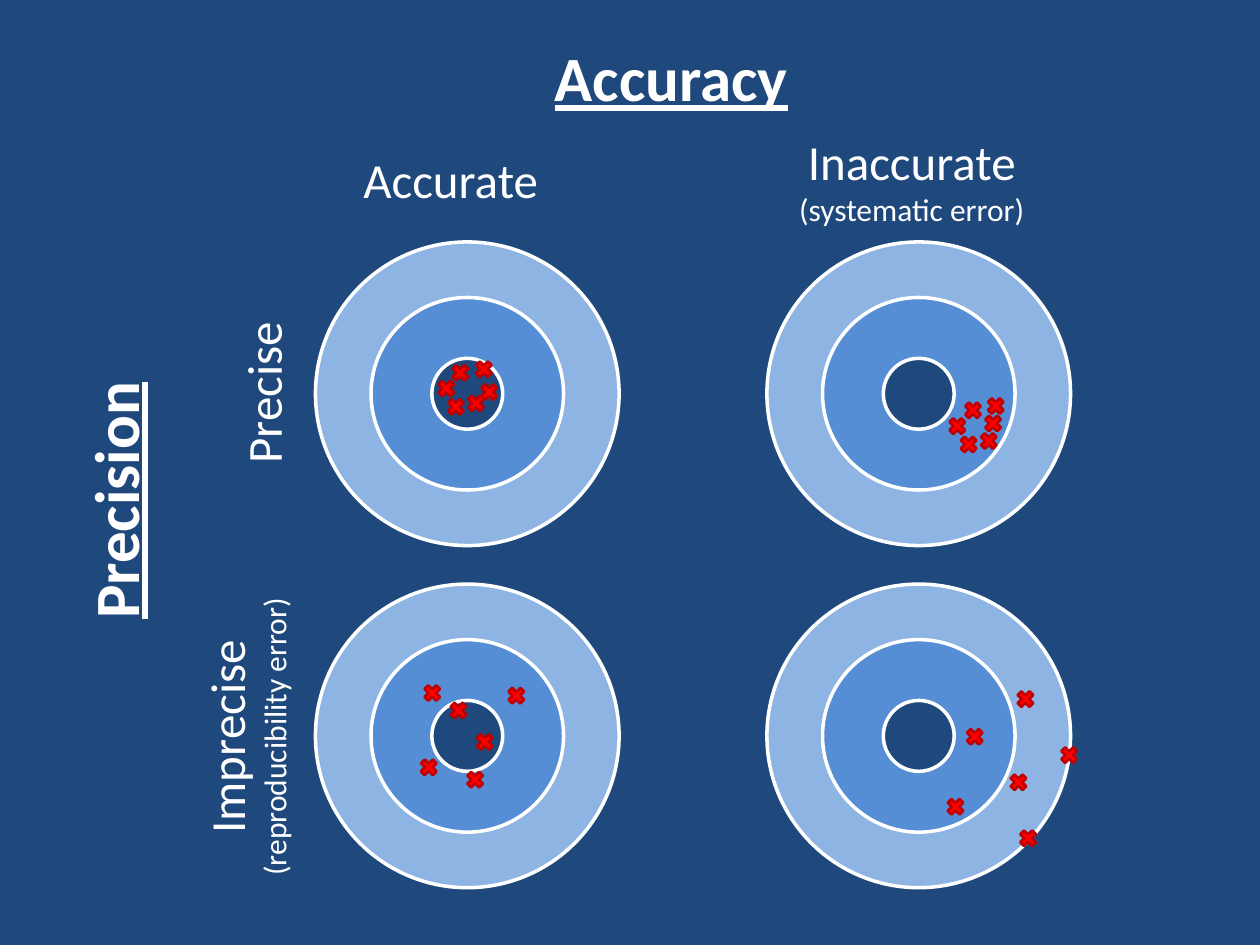
"""Build a slide that contrasts accuracy with precision on four targets."""
from dataclasses import dataclass

import pptx
import pptx.dml.color
import pptx.enum.shapes
import pptx.enum.text
import pptx.util

Pt = pptx.util.Pt
Shapes = pptx.enum.shapes.MSO_SHAPE


@dataclass(frozen=True)
class Theme:
    font: str = "Calibri"
    background: str = "1F497D"
    white: str = "FFFFFF"
    outer_ring: str = "8EB4E3"
    middle_ring: str = "558ED5"
    mark_fill: str = "FF0000"
    mark_line: str = "C00000"
    heading_size: float = 36
    label_size: float = 28
    note_size: float = 18


def color(code):
    return pptx.dml.color.RGBColor.from_string(code)


class SlideBuilder:
    def __init__(self, slide, theme):
        self.slide = slide
        self.theme = theme
        slide.background.fill.solid()
        slide.background.fill.fore_color.rgb = color(theme.background)

    def centered_shape(self, shapes, kind, center, diameter, fill, line, width):
        x, y = (value - diameter / 2 for value in center)
        shape = shapes.add_shape(kind, Pt(x), Pt(y), Pt(diameter), Pt(diameter))
        shape.shadow.inherit = False
        shape.fill.solid()
        shape.fill.fore_color.rgb = color(fill)
        shape.line.color.rgb = color(line)
        shape.line.width = Pt(width)

    def target(self, center):
        theme = self.theme
        group = self.slide.shapes.add_group_shape()
        rings = ((173.5, theme.outer_ring), (110, theme.middle_ring), (40.5, theme.background))
        for diameter, fill in rings:
            self.centered_shape(group.shapes, Shapes.OVAL, center, diameter, fill, theme.white, 2)

    def marks(self, center, offsets):
        for dx, dy in offsets:
            position = (center[0] + dx, center[1] + dy)
            self.centered_shape(self.slide.shapes, Shapes.MATH_MULTIPLY, position, 13,
                                self.theme.mark_fill, self.theme.mark_line, 1.5)

    def set_text(self, shape, lines, sizes, heading=False, vertical=False):
        frame = shape.text_frame
        frame.text = "\n".join(lines)
        frame.word_wrap = False
        frame.auto_size = pptx.enum.text.MSO_AUTO_SIZE.SHAPE_TO_FIT_TEXT
        frame.vertical_anchor = pptx.enum.text.MSO_ANCHOR.TOP
        if vertical:
            shape.element.txBody.bodyPr.set("vert", "vert270")
        for paragraph, size in zip(frame.paragraphs, sizes):
            paragraph.alignment = pptx.enum.text.PP_ALIGN.CENTER
            for run in paragraph.runs:
                run.font.name = self.theme.font
                run.font.size = Pt(size)
                run.font.color.rgb = color(self.theme.white)
                if heading:
                    run.font.bold = run.font.underline = True

    def title(self, text, box):
        shape = self.slide.shapes.title
        shape.left, shape.top, shape.width, shape.height = map(Pt, box)
        self.set_text(shape, [text], [self.theme.heading_size], heading=True)

    def side_heading(self, text, box):
        shape = self.slide.shapes.add_textbox(*map(Pt, box))
        self.set_text(shape, [text], [self.theme.heading_size], heading=True, vertical=True)

    def label(self, lines, box, vertical=False):
        shape = self.slide.shapes.add_textbox(*map(Pt, box))
        self.set_text(shape, lines, (self.theme.label_size, self.theme.note_size), vertical=vertical)


def main():
    presentation = pptx.Presentation()
    presentation.slide_width, presentation.slide_height = Pt(720), Pt(540)
    slide = presentation.slides.add_slide(presentation.slide_layouts[5])
    builder = SlideBuilder(slide, Theme())

    accurate, inaccurate = 267, 525
    precise, imprecise = 225, 420.5
    hits = {
        (accurate, precise): (
            (-4, -12), (12.5, -1), (-6.5, 7.5), (9.5, -14), (-12, -3), (5, 5.5)),
        (inaccurate, precise): (
            (31, 9.5), (42.5, 17), (28.5, 29), (44, 7), (22, 18.5), (40, 27)),
        (accurate, imprecise): (
            (-5, -14.5), (10, 3.5), (-22, 18), (28, -23), (-20, -24.5), (4.5, 25)),
        (inaccurate, imprecise): (
            (61, -21), (57, 26.5), (21, 40.5), (86, 11), (32, 0.5), (62.5, 58.5)),
    }
    for center, offsets in hits.items():
        builder.target(center)
        builder.marks(center, offsets)

    builder.label(["Accurate"], (200, 82, 115, 41))
    builder.label(["Inaccurate", "(systematic error)"], (448.5, 71.5, 145, 63))
    builder.label(["Precise"], (129.5, 180, 48, 89), vertical=True)
    builder.label(["Imprecise", "(reproducibility error)"], (108.5, 337, 70.5, 168), vertical=True)
    builder.title("Accuracy", (309, 18.5, 149, 51))
    builder.side_heading("Precision", (40, 214, 58, 144))
    presentation.save("out.pptx")


if __name__ == "__main__":
    main()
